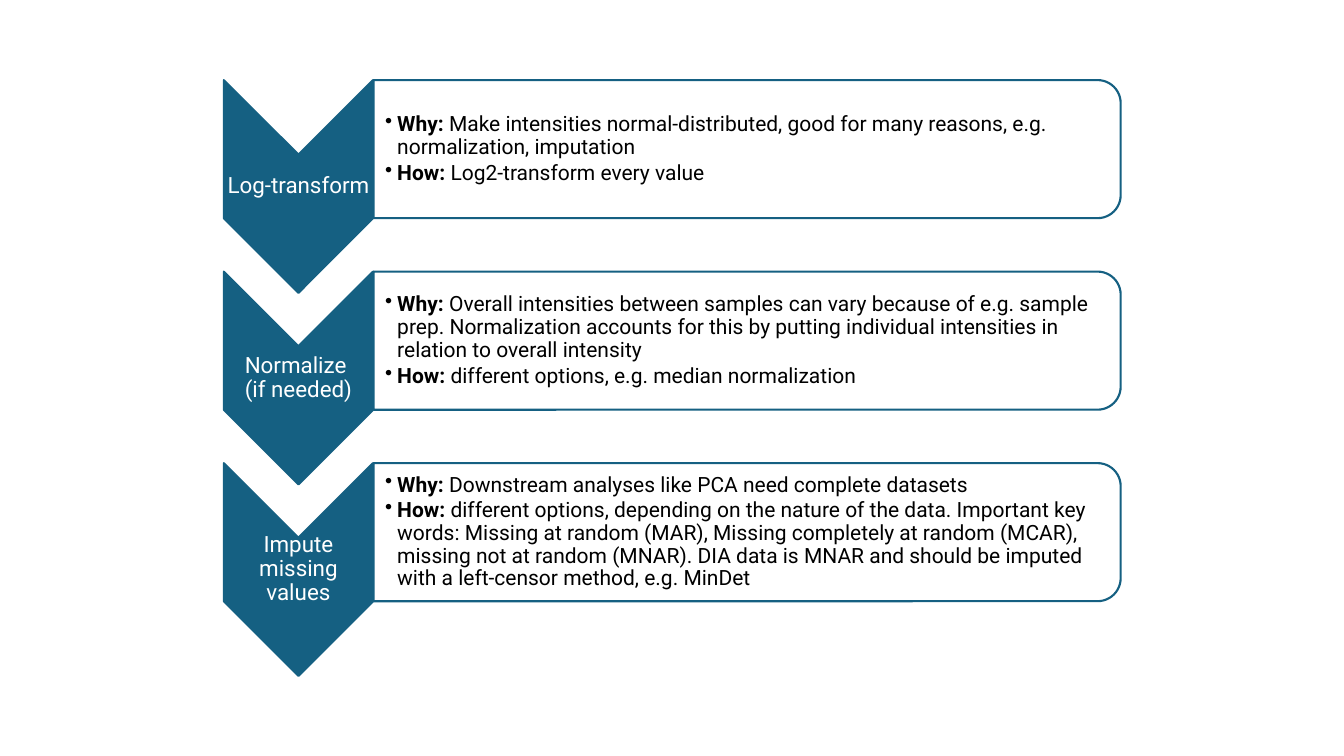
"""Build a slide with three data preparation steps, each with its why and how."""
import pptx
import pptx.dml.color
import pptx.enum.shapes
import pptx.enum.text
import pptx.oxml.ns
import pptx.util
from lxml import etree
from pptx.util import Inches

STEPS = [
    (["Log-transform"],
     [("Why: ", "Make intensities normal-distributed, good for many reasons, e.g. "
       "normalization, imputation"),
      ("How:", " Log2-transform every value")]),
    (["Normalize ", "(if needed)"],
     [("Why:", " Overall intensities between samples can vary because of e.g. sample prep. "
       "Normalization accounts for this by putting individual intensities in relation to "
       "overall intensity"),
      ("How:", " different options, e.g. median normalization")]),
    (["Impute missing values"],
     [("Why:", " Downstream analyses like PCA need complete datasets"),
      ("How:", " different options, depending on the nature of the data. Important key words: "
       "Missing at random (MAR), Missing completely at random (MCAR), missing not at random "
       "(MNAR). DIA data is MNAR and should be imputed with a left-censor method, e.g. MinDet")]),
]
COLORS = {"step": "156082", "panel": "FFFFFF", "label": "FFFFFF", "body": "000000"}
FONT = "Roboto"
PITCH = 1.9
CHEVRON_CENTER = (2.96, 1.85)
PANEL_CENTER = (7.41, 1.48)
CHEVRON_SIZE = (2.11, 1.48)
PANEL_SIZE = (1.37, 7.41)
LABEL_SIZE = (1.48, 0.63)
BODY_SIZE = (7.34, 1.24)
BODY_LEFT = 3.7
INSET = 0.01
INDENT = 0.12


def color(name):
    return pptx.dml.color.RGBColor.from_string(COLORS[name])


def frame(center_x, center_y, size):
    width, height = size
    return [Inches(value) for value in
            (center_x - width / 2, center_y - height / 2, width, height)]


def add_turned_shape(slide, kind, center_x, center_y, size, fill):
    shape = slide.shapes.add_shape(kind, *frame(center_x, center_y, size))
    shape.rotation = 90
    shape.shadow.inherit = False
    shape.fill.solid()
    shape.fill.fore_color.rgb = color(fill)
    shape.line.color.rgb = color("step")
    shape.line.width = pptx.util.Pt(1.5)
    return shape


def make_translucent(shape, percent):
    tag = pptx.oxml.ns.qn("a:srgbClr")
    fill_color = shape.fill._xPr.find(pptx.oxml.ns.qn("a:solidFill")).find(tag)
    etree.SubElement(fill_color, pptx.oxml.ns.qn("a:alpha"), val=str(percent * 1000))


def add_text_frame(slide, center_x, center_y, size, left_inset):
    box = slide.shapes.add_textbox(*frame(center_x, center_y, size))
    text = box.text_frame
    text.word_wrap = True
    text.vertical_anchor = pptx.enum.text.MSO_ANCHOR.MIDDLE
    text.margin_left = Inches(left_inset)
    text.margin_top = text.margin_right = text.margin_bottom = Inches(INSET)
    return text


def add_span(para, words, size, name, bold=False):
    span = para.add_run()
    span.text = words
    span.font.name = FONT
    span.font.size = pptx.util.Pt(size)
    span.font.bold = bold
    span.font.color.rgb = color(name)


def add_bullet(para):
    properties = para._p.get_or_add_pPr()
    properties.set("marL", str(Inches(INDENT)))
    properties.set("indent", str(-Inches(INDENT)))
    etree.SubElement(properties, pptx.oxml.ns.qn("a:buChar"), char="•")


def add_label(slide, center_x, center_y, lines):
    para = add_text_frame(slide, center_x, center_y, LABEL_SIZE, INSET).paragraphs[0]
    para.alignment = pptx.enum.text.PP_ALIGN.CENTER
    para.line_spacing = 0.9
    for index, line in enumerate(lines):
        if index:
            para.add_line_break()
        add_span(para, line, 16, "label")


def add_body(slide, center_y, points):
    center_x = BODY_LEFT + BODY_SIZE[0] / 2
    text = add_text_frame(slide, center_x, center_y, BODY_SIZE, INDENT)
    for index, (lead, detail) in enumerate(points):
        para = text.add_paragraph() if index else text.paragraphs[0]
        para.line_spacing = 0.9
        para.space_after = pptx.util.Pt(2.25)
        add_bullet(para)
        add_span(para, lead, 15, "body", bold=True)
        add_span(para, detail, 15, "body")


def main():
    deck = pptx.Presentation()
    deck.slide_width, deck.slide_height = Inches(13.33), Inches(7.5)
    slide = deck.slides.add_slide(deck.slide_layouts.get_by_name("Blank"))
    kinds = pptx.enum.shapes.MSO_SHAPE
    for index, (label, points) in enumerate(STEPS):
        chevron_x, chevron_y = CHEVRON_CENTER[0], CHEVRON_CENTER[1] + index * PITCH
        panel_x, panel_y = PANEL_CENTER[0], PANEL_CENTER[1] + index * PITCH
        add_turned_shape(slide, kinds.CHEVRON, chevron_x, chevron_y, CHEVRON_SIZE, "step")
        add_label(slide, chevron_x, chevron_y, label)
        panel = add_turned_shape(slide, kinds.ROUND_2_SAME_RECTANGLE, panel_x, panel_y,
                                 PANEL_SIZE, "panel")
        make_translucent(panel, 90)
        add_body(slide, panel_y, points)
    deck.save("out.pptx")


if __name__ == "__main__":
    main()
